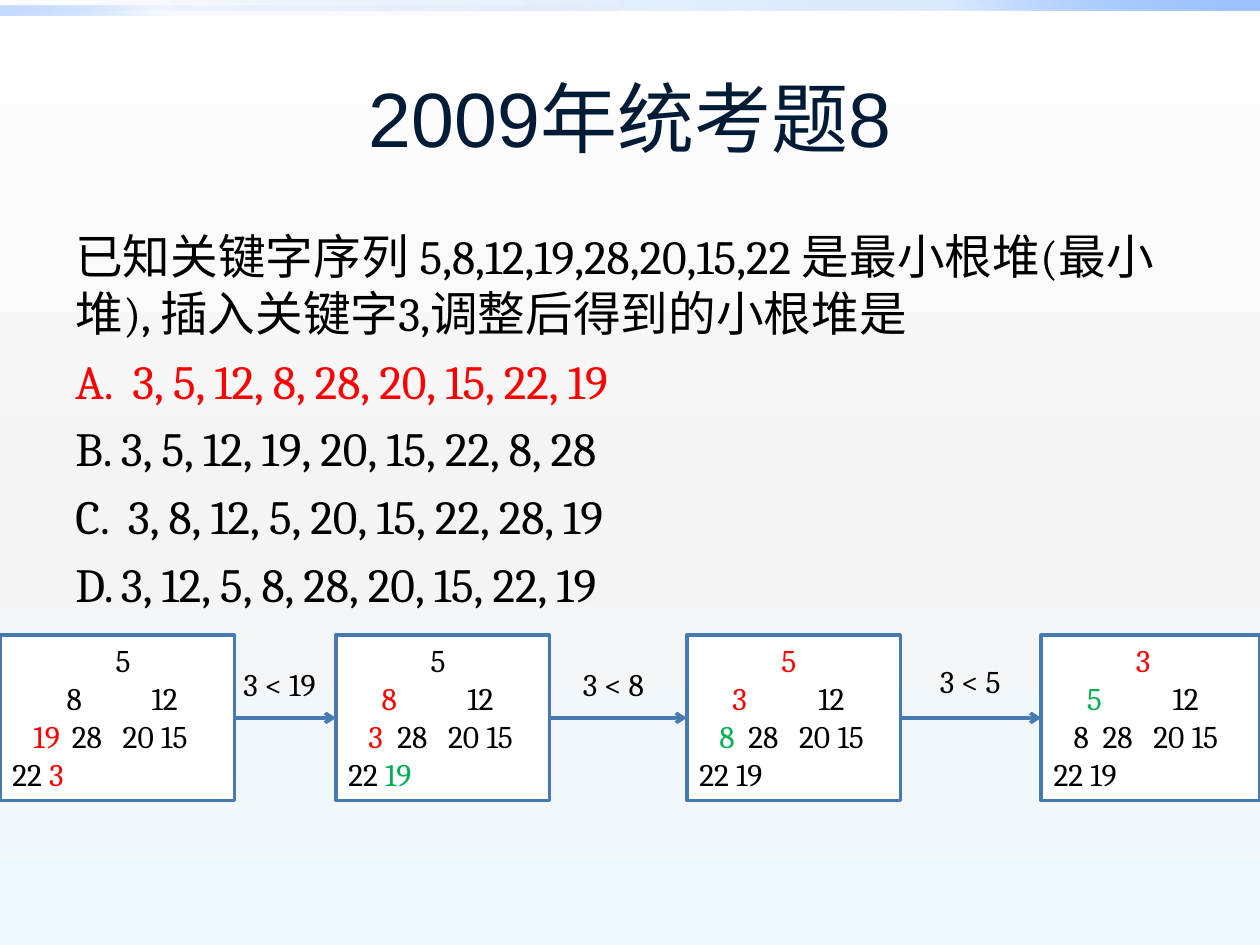
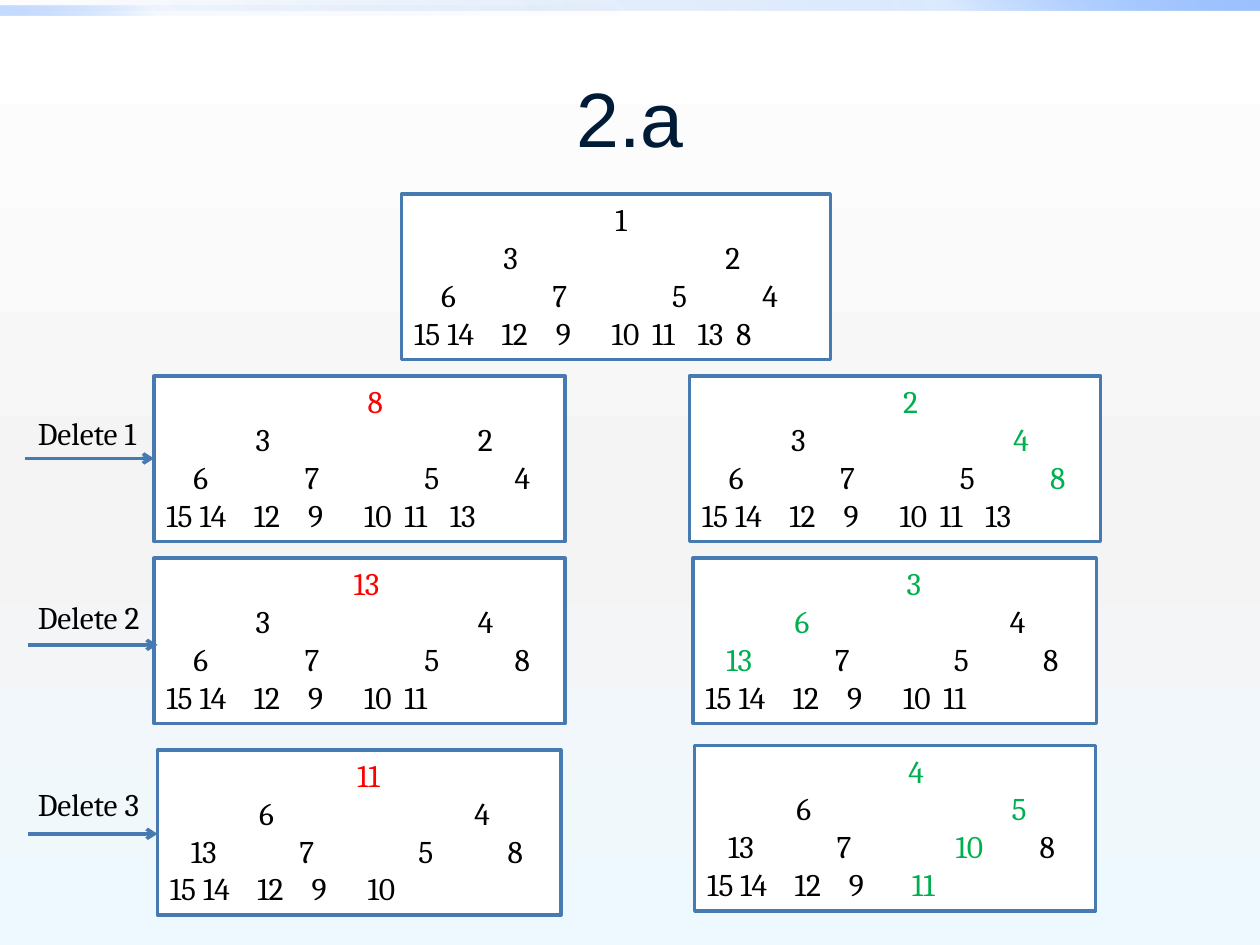
from lxml import etree
from pptx import Presentation
from pptx.dml.color import RGBColor
from pptx.enum.shapes import MSO_CONNECTOR as Link, MSO_SHAPE as Shape
from pptx.enum.text import MSO_ANCHOR as Anchor, PP_ALIGN as Align
from pptx.oxml.ns import qn
from pptx.util import Pt

WIDE, HIGH = 720, 540
INK, BLUE, WHITE, NAVY = "000000", "477AB1", "FFFFFF", "001B36"
MARKS = {"r": "FF0000", "g": "00B050"}  # last letter of a key gives its colour
TITLE = dict(name="Arial", size=Pt(44))
BODY = dict(name="Cambria", size=Pt(27.2))
NODE = dict(name="Cambria", size=Pt(18))

# gradient stops: position, colour, opacity (all in percent)
BACK = [(0, "FFFFFF", 100), (55, "F4F4F4", 100), (100, "EEF9FF", 100)]
BANDS = [
    ((0, 0, WIDE, 6), 315,
     [(0, "0058B7", 0), (75, "4F95FF", 20), (100, "9EC2FF", 100)]),
    ((0, 3, WIDE / 2, 6), 135,
     [(0, "0058B7", 0), (75, "4F95FF", 5), (100, "9EC2FF", 60)]),
]

ASK = ("已知关键字序列 5,8,12,19,28,20,15,22 是最小根堆(最小堆), "
       "插入关键字3,调整后得到的小根堆是")
CHOICES = [
    ("A.", 32.5, "3, 5, 12, 8, 28, 20, 15, 22, 19", MARKS["r"]),
    ("B.", 26, "3, 5, 12, 19, 20, 15, 22, 8, 28", INK),
    ("C.", 30, "3, 8, 12, 5, 20, 15, 22, 28, 19", INK),
    ("D.", 26, "3, 12, 5, 8, 28, 20, 15, 22, 19", INK),
]

# tab stops of each heap level
LOOSE = [(59,), (31, 79.5), (12, 34, 63, 85), (0, 21)]
TIGHT = [(47,), (19, 68), (11.5, 28, 57, 79), (0, 21)]
TOP, TOP2 = (115,), (107,)
PAIR, PAIR2 = (51, 178), (51, 174)
QUAD, QUAD2, QUAD3 = (15.5, 79, 147.5, 199), (12, 74, 142, 193), (12, 74, 142, 190)
LEAF, LEAF2 = (0, 19, 50, 81, 113, 136, 162, 184), (0, 19, 50, 81, 117)

# left, width, tab stops, keys by level
STEPS = [
    (0, 134, LOOSE, ["5", "8 12", "19r 28 20 15", "22 3r"]),
    (192, 122, TIGHT, ["5", "8r 12", "3r 28 20 15", "22 19g"]),
    (392.5, 122, TIGHT, ["5r", "3r 12", "8g 28 20 15", "22 19"]),
    (595, 125, TIGHT, ["3r", "5g 12", "8 28 20 15", "22 19"]),
]
TESTS = [("3 < 19", 132, 376.5, 63), ("3 < 8", 326, 376.5, 53),
         ("3 < 5", 530, 374.5, 53)]
STEP_Y, BOX_H = 363, 94.5

# left, top, width, tab stops, keys by level
HEAPS = [
    (229.5, 111, 245, [TOP, PAIR, QUAD, LEAF],
     ["1", "3 2", "6 7 5 4", "15 14 12 9 10 11 13 8"]),
    (88, 215, 235, [TOP, PAIR, QUAD, LEAF],
     ["8r", "3 2", "6 7 5 4", "15 14 12 9 10 11 13"]),
    (394, 215, 235, [TOP, PAIR, QUAD, LEAF],
     ["2g", "3 4g", "6 7 5 8g", "15 14 12 9 10 11 13"]),
    (88, 319, 235, [TOP2, PAIR, QUAD, LEAF],
     ["13r", "3 4", "6 7 5 8", "15 14 12 9 10 11"]),
    (396, 319, 230.5, [TOP, PAIR2, QUAD2, LEAF],
     ["3g", "6g 4", "13g 7 5 8", "15 14 12 9 10 11"]),
    (90, 428.5, 230.5, [TOP2, PAIR2, QUAD2, LEAF],
     ["11r", "6 4", "13 7 5 8", "15 14 12 9 10"]),
    (397, 426, 229, [TOP, PAIR2, QUAD3, LEAF2],
     ["4g", "6 5g", "13 7 10g 8", "15 14 12 9 11g"]),
]
# label, label top, arrow start, arrow end, arrow height
CUTS = [("Delete 1", 233, 14.5, 88, 262), ("Delete 2", 338, 16, 90, 368.5),
        ("Delete 3", 445, 16, 90, 476.5)]


def rgb(code):
    return RGBColor.from_string(code)


def sub(node, tag, **vals):
    return etree.SubElement(node, qn(tag), {k: str(v) for k, v in vals.items()})


def fade(fill, root, stops, angle):
    """Give a fill a linear gradient with any number of stops."""
    fill.gradient()
    grad = next(root.iter(qn("a:gradFill")))
    for kid in list(grad):
        grad.remove(kid)
    rows = sub(grad, "a:gsLst")
    for pos, code, alpha in stops:
        clr = sub(sub(rows, "a:gs", pos=pos * 1000), "a:srgbClr", val=code)
        if alpha < 100:
            sub(clr, "a:alpha", val=alpha * 1000)
    sub(grad, "a:lin", ang=angle * 60000, scaled=0)


def block(slide, x, y, w, h):
    shape = slide.shapes.add_shape(Shape.RECTANGLE, Pt(x), Pt(y), Pt(w), Pt(h))
    shape.shadow.inherit = False
    return shape


def write(para, text, style, color=INK):
    font = (run := para.add_run()).font
    run.text = text
    for key, val in style.items():
        setattr(font, key, val)
    font.color.rgb = rgb(color)


def tabs(para, stops):
    rows = sub(para._p.get_or_add_pPr(), "a:tabLst")
    for stop in stops:
        sub(rows, "a:tab", pos=int(Pt(stop)), algn="l")


def area(slide, x, y, w, h, wrap=True):
    frame = slide.shapes.add_textbox(Pt(x), Pt(y), Pt(w), Pt(h)).text_frame
    frame.word_wrap = wrap
    return frame


def label(slide, text, x, y, w):
    write(area(slide, x, y, w, 29, False).paragraphs[0], text, NODE)


def arrow(slide, x1, x2, y):
    line = slide.shapes.add_connector(Link.STRAIGHT, Pt(x1), Pt(y), Pt(x2), Pt(y))
    line.line.color.rgb = rgb(BLUE)
    line.line.width = Pt(2)
    sub(line.line._get_or_add_ln(), "a:tailEnd", type="arrow")
    sub(line._element.spPr, "a:effectLst")


def heap(slide, x, y, w, levels, rows):
    """Draw one boxed heap, each level on its own line."""
    box = block(slide, x, y, w, BOX_H)
    box.fill.solid()
    box.fill.fore_color.rgb = rgb(WHITE)
    box.line.color.rgb = rgb(BLUE)
    box.line.width = Pt(2)
    frame = box.text_frame
    frame.word_wrap = True
    frame.vertical_anchor = Anchor.TOP
    for i, (stops, row) in enumerate(zip(levels, rows)):
        para = frame.add_paragraph() if i else frame.paragraphs[0]
        para.alignment = Align.LEFT
        tabs(para, [s for s in stops if s])
        for stop, key in zip(stops, row.split()):
            text = key.rstrip("rg")
            write(para, "\t" + text if stop else text, NODE,
                  MARKS.get(key[-1], INK))


def page(prs, title):
    slide = prs.slides.add_slide(prs.slide_layouts[6])
    for place, angle, stops in BANDS:
        band = block(slide, *place)
        band.line.fill.background()
        fade(band.fill, band._element, stops, angle)
    frame = area(slide, 36, 21.5, 648, 90)
    frame.vertical_anchor = Anchor.MIDDLE
    frame.paragraphs[0].alignment = Align.CENTER
    write(frame.paragraphs[0], title, TITLE, NAVY)
    return slide


def insert(prs):
    slide = page(prs, "2009年统考题8")
    frame = area(slide, 36, 126, 648, 212)
    write(frame.paragraphs[0], ASK, BODY)
    for mark, stop, text, color in CHOICES:
        para = frame.add_paragraph()
        para.space_before = Pt(6)
        tabs(para, [stop])
        write(para, f"{mark}\t{text}", BODY, color)
    for x, w, levels, rows in STEPS:
        heap(slide, x, STEP_Y, w, levels, rows)
    for here, there in zip(STEPS, STEPS[1:]):
        arrow(slide, here[0] + here[1], there[0], STEP_Y + BOX_H / 2)
    for test in TESTS:
        label(slide, *test)


def delete(prs):
    slide = page(prs, "2.a")
    for item in HEAPS:
        heap(slide, *item)
    for text, top, start, end, y in CUTS:
        arrow(slide, start, end, y)
        label(slide, text, 14.5, top, 78.5)


def main():
    prs = Presentation()
    prs.slide_width, prs.slide_height = Pt(WIDE), Pt(HIGH)
    master = prs.slide_master
    fade(master.background.fill, master._element, BACK, 90)
    insert(prs)
    delete(prs)
    prs.save("out.pptx")


if __name__ == "__main__":
    main()
